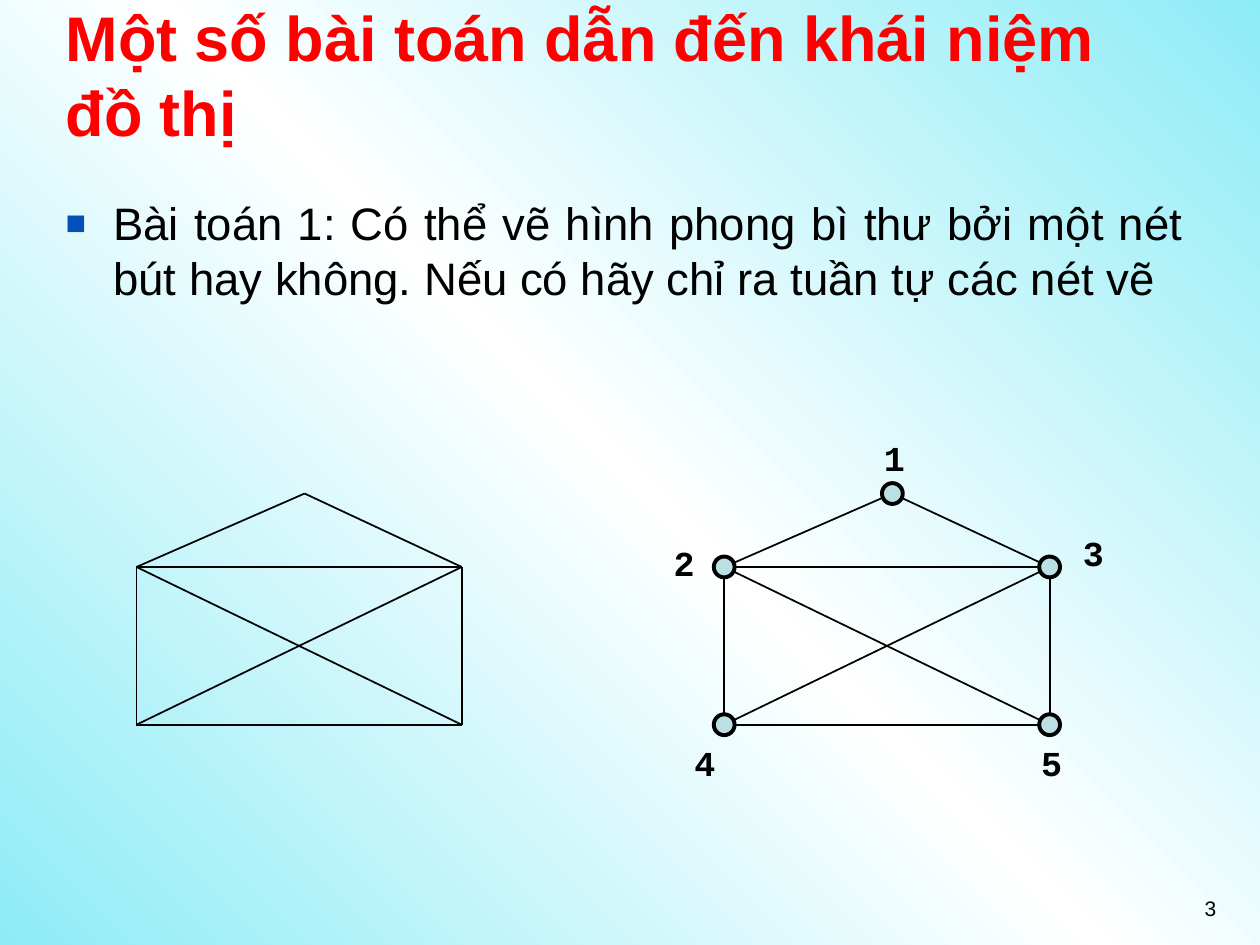
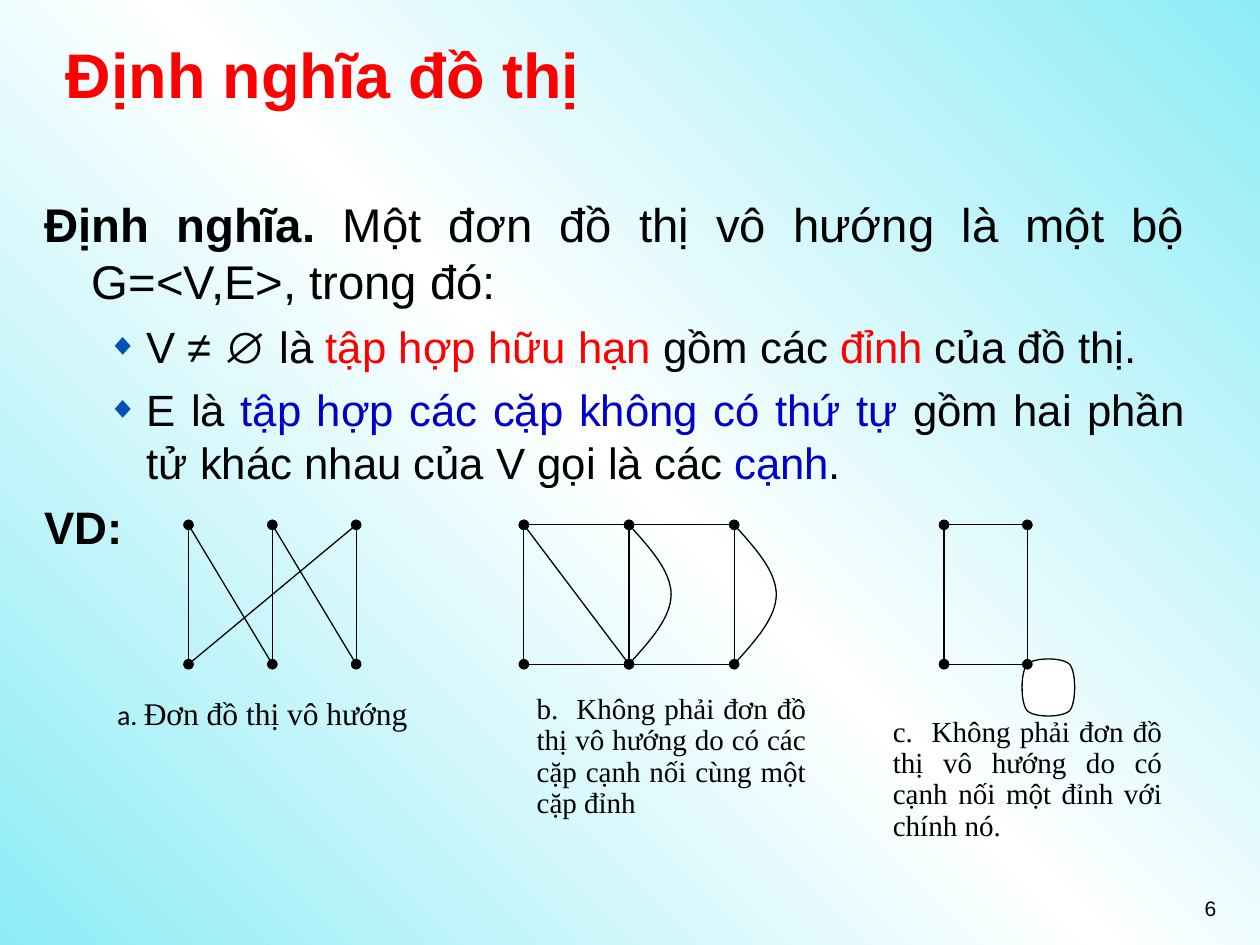
import copy

import pptx
import pptx.dml.color
import pptx.enum.shapes
import pptx.enum.text
import pptx.oxml
import pptx.oxml.ns
import pptx.util
from lxml import etree

Cm = pptx.util.Cm
Pt = pptx.util.Pt
RGBColor = pptx.dml.color.RGBColor
qn = pptx.oxml.ns.qn
Align = pptx.enum.text.PP_ALIGN

BLACK = RGBColor(0x00, 0x00, 0x00)
WHITE = RGBColor(0xFF, 0xFF, 0xFF)
RED = RGBColor(0xFF, 0x00, 0x00)
BLUE = RGBColor(0x00, 0x00, 0xCC)
BULLET_BLUE = RGBColor(0x02, 0x51, 0xB8)
SKY = RGBColor(0x8E, 0xEC, 0xF6)
NODE_FILL = RGBColor(0xBB, 0xE0, 0xE3)

BODY_TOP, BODY_HEIGHT, BODY_RIGHT = 3.81, 13.21, 24.13


def add_text(paragraph, text, size=18, font="Arial", color=BLACK, bold=False):
    run = paragraph.add_run()
    run.text = text
    run.font.size = Pt(size)
    run.font.name = font
    run.font.bold = bold
    run.font.color.rgb = color


def set_indent(paragraph, left, first_line):
    properties = paragraph._p.get_or_add_pPr()
    properties.set("marL", str(Cm(left)))
    properties.set("indent", str(Cm(first_line)))
    return properties


def set_bullet(properties, character, percent):
    if not character:
        etree.SubElement(properties, qn("a:buNone"))
        return
    color = etree.SubElement(properties, qn("a:buClr"))
    etree.SubElement(color, qn("a:srgbClr"), val=str(BULLET_BLUE))
    etree.SubElement(properties, qn("a:buSzPct"), val=str(percent * 1000))
    etree.SubElement(properties, qn("a:buFont"), typeface="Arial")
    etree.SubElement(properties, qn("a:buChar"), char=character)


def curve_points(start, segments, steps=16):
    """Return points along cubic segments, each (control, control, end)."""
    points = [start]
    for first, second, end in segments:
        for step in range(1, steps + 1):
            t = step / steps
            u = 1 - t
            points.append(tuple(
                u ** 3 * a + 3 * u * u * t * b + 3 * u * t * t * c + t ** 3 * d
                for a, b, c, d in zip(start, first, second, end)))
        start = end
    return points


class Deck:
    def __init__(self):
        self.presentation = pptx.Presentation()
        self.presentation.slide_width = Cm(25.4)
        self.presentation.slide_height = Cm(19.05)
        self.slide = None
        self.paint_background()

    def paint_background(self):
        master = self.presentation.slide_master
        fill = master.background.fill
        fill.gradient()
        fill.gradient_angle = 45
        stops = master.element.find(".//" + qn("a:gsLst"))
        stops.append(copy.deepcopy(stops[-1]))
        for stop, position, color in zip(fill.gradient_stops, (0, 0.5, 1), (SKY, WHITE, SKY)):
            stop.position = position
            stop.color.rgb = color

    def start_slide(self, title, number):
        layout = self.presentation.slide_layouts[1]
        self.slide = self.presentation.slides.add_slide(layout)
        frame = self.place(self.slide.shapes.title, 1.07, 0.43, 23.06, 2.11)
        frame.vertical_anchor = pptx.enum.text.MSO_ANCHOR.MIDDLE
        frame.paragraphs[0].alignment = Align.LEFT
        add_text(frame.paragraphs[0], title, size=36, color=RED, bold=True)
        paragraph = self.text_box(18.85, 17.93, 5.92, 1.32)
        paragraph.alignment = Align.RIGHT
        add_text(paragraph, str(number), size=12)

    def place(self, shape, left, top, width, height):
        shape.left, shape.top = Cm(left), Cm(top)
        shape.width, shape.height = Cm(width), Cm(height)
        frame = shape.text_frame
        frame.auto_size = pptx.enum.text.MSO_AUTO_SIZE.NONE
        frame.word_wrap = True
        return frame

    def text_box(self, left, top, width, height, wrap=True):
        box = self.slide.shapes.add_textbox(Cm(left), Cm(top), Cm(width), Cm(height))
        box.text_frame.word_wrap = wrap
        return box.text_frame.paragraphs[0]

    def body(self, left, items):
        """Fill the body from (size, level, bullet, runs); a run is (text, format)."""
        frame = self.place(self.slide.placeholders[1], left, BODY_TOP,
                           BODY_RIGHT - left, BODY_HEIGHT)
        for index, (size, level, bullet, runs) in enumerate(items):
            paragraph = frame.add_paragraph() if index else frame.paragraphs[0]
            paragraph.level = level
            paragraph.alignment = Align.JUSTIFY
            paragraph.space_before = Pt(size / 4 if index else 0)
            properties = set_indent(paragraph, *((2.06, -0.79) if level else (0.96, -0.96)))
            set_bullet(properties, bullet, 70 if level else 75)
            for text, style in runs:
                add_text(paragraph, text, size=size, **style)

    def line(self, start, end, width, dotted_ends=False):
        connector = self.slide.shapes.add_connector(
            pptx.enum.shapes.MSO_CONNECTOR.STRAIGHT,
            *(Cm(value) for value in (*start, *end)))
        connector.line.color.rgb = BLACK
        connector.line.width = Pt(width)
        if dotted_ends:
            outline = connector.line._get_or_add_ln()
            for end_name in ("a:headEnd", "a:tailEnd"):
                etree.SubElement(outline, qn(end_name), type="oval")
        etree.SubElement(connector._element.spPr, qn("a:effectLst"))

    def outline(self, shape, width, fill=None):
        shape.shadow.inherit = False
        shape.line.color.rgb = BLACK
        shape.line.width = Pt(width)
        if fill is None:
            shape.fill.background()
        else:
            shape.fill.solid()
            shape.fill.fore_color.rgb = fill

    def node(self, center, diameter=0.42):
        left, top = (value - diameter / 2 for value in center)
        circle = self.slide.shapes.add_shape(
            pptx.enum.shapes.MSO_SHAPE.OVAL, Cm(left), Cm(top), Cm(diameter), Cm(diameter))
        self.outline(circle, 2.25, NODE_FILL)

    def curve(self, start, segments, fill=None):
        points = [(Cm(x), Cm(y)) for x, y in curve_points(start, segments)]
        builder = self.slide.shapes.build_freeform(*points[0])
        builder.add_line_segments(points[1:], close=fill is not None)
        self.outline(builder.convert_to_shape(), 0.75, fill)

    def caption(self, text, left, top):
        paragraph = self.text_box(left, top, 7.19, 3.28)
        paragraph.alignment = Align.JUSTIFY
        paragraph.line_spacing = 0.9
        set_indent(paragraph, 1.27, 0)
        add_text(paragraph, text, size=16.6, font="Times New Roman")


# Envelope: vertices relative to its left edge and apex height
VERTICES = {1: (3.39, 0), 2: (0, 1.48), 3: (6.56, 1.48), 4: (0, 4.66), 5: (6.56, 4.66)}
EDGES = [(1, 2), (1, 3), (2, 3), (2, 4), (4, 5), (3, 5), (4, 3), (2, 5)]
LABEL_OFFSETS = {1: (-0.42, -1.27), 2: (-1.27, -0.64), 3: (0.42, -0.85),
                 4: (-0.85, 0.21), 5: (-0.42, 0.21)}
ENVELOPE_TOP = 9.95


def draw_envelope(deck, left):
    points = {name: (left + x, ENVELOPE_TOP + y) for name, (x, y) in VERTICES.items()}
    for start, end in EDGES:
        deck.line(points[start], points[end], 1)
    return points


def build_envelope_slide(deck):
    deck.start_slide("Một số bài toán dẫn đến khái niệm đồ thị", 3)
    deck.body(1.07, [(26, 0, "■", [
        ("Bài toán 1: Có thể vẽ hình phong bì thư bởi một nét bút hay không. "
         "Nếu có hãy chỉ ra tuần tự các nét vẽ", {})])])
    draw_envelope(deck, 2.75)
    points = draw_envelope(deck, 14.6)
    for center in points.values():
        deck.node(center)
    for name, (x, y) in points.items():
        shift_x, shift_y = LABEL_OFFSETS[name]
        label = deck.text_box(x + shift_x, y + shift_y, 0.91, 1.12, wrap=False)
        add_text(label, str(name), size=20, font="Courier New", bold=True)


# Example graphs: two rows of vertices, each edge joins (column, row) pairs
ROWS = (10.58, 13.39)
GRAPHS = [
    (3.8, 1.69, [((0, 0), (0, 1)), ((1, 0), (1, 1)), ((0, 0), (1, 1)),
                 ((1, 0), (2, 1)), ((2, 0), (2, 1)), ((2, 0), (0, 1))]),
    (10.56, 2.12, [((0, 0), (0, 1)), ((1, 0), (1, 1)), ((2, 0), (2, 1)),
                   ((0, 0), (1, 0)), ((1, 0), (2, 0)), ((1, 1), (2, 1)),
                   ((0, 0), (1, 1)), ((0, 1), (1, 1))]),
    (19.03, 1.68, [((0, 0), (0, 1)), ((1, 0), (1, 1)), ((0, 0), (1, 0)), ((0, 1), (1, 1))]),
]


def draw_parallel_edge(deck, x, bulge=0.85):
    top, bottom = ROWS
    middle, third = (top + bottom) / 2, (bottom - top) / 6
    deck.curve((x, top), [
        ((x + bulge / 2, top + third), (x + bulge, top + 2 * third), (x + bulge, middle)),
        ((x + bulge, bottom - 2 * third), (x + bulge / 2, bottom - third), (x, bottom))])


def draw_loop(deck, left, top, width=0.85, height=0.94, bulge=0.14):
    """Draw a box with sides bowed outwards, starting at its top left corner."""
    x, y = left, top
    segments = []
    for dx, dy, length in ((0, 1, height), (1, 0, width), (0, -1, height), (-1, 0, width)):
        end_x, end_y = x + dx * length, y + dy * length
        segments.append(((x + bulge * (dx - dy), y + bulge * (dy + dx)),
                         (end_x - bulge * (dx + dy), end_y + bulge * (dx - dy)),
                         (end_x, end_y)))
        x, y = end_x, end_y
    deck.curve((left, top), segments, WHITE)


def build_definition_slide(deck):
    red, blue, bold = {"color": RED}, {"color": BLUE}, {"bold": True}
    deck.start_slide("Định nghĩa đồ thị", 6)
    deck.body(0.64, [
        (27, 0, None, [("Định nghĩa. ", bold),
                       ("Một đơn đồ thị vô hướng là một bộ G=<V,E>, trong đó:", {})]),
        (25, 1, "◆", [("V ≠ ∅ là ", {}), ("tập hợp hữu hạn", red), (" gồm các ", {}),
                      ("đỉnh", red), (" của đồ thị.", {})]),
        (25, 1, "◆", [("E là ", {}), ("tập hợp các cặp không có thứ tự", blue),
                      (" gồm hai phần tử khác nhau của V gọi là các ", {}),
                      ("cạnh", blue), (".", {})]),
        (26, 0, None, [("VD:", bold)]),
    ])
    draw_loop(deck, 20.71, ROWS[1])
    for left, step, edges in GRAPHS:
        for edge in edges:
            start, end = ((left + column * step, ROWS[row]) for column, row in edge)
            deck.line(start, end, 0.75, dotted_ends=True)
    left, step, _ = GRAPHS[1]
    for column in (1, 2):
        draw_parallel_edge(deck, left + column * step)

    simple_caption = deck.text_box(2.11, 13.87, 6.76, 1.4)
    add_text(simple_caption, "a. ", size=16, font="Calibri")
    add_text(simple_caption, "Đơn đồ thị vô hướng", size=18, font="Times New Roman")
    deck.caption("b.\u00a0 Không phải đơn đồ thị vô hướng do có các cặp cạnh nối cùng "
                 "một cặp đỉnh".replace("\u00a0", " "), 9.3, 13.87)
    deck.caption("c.  Không phải đơn đồ thị vô hướng do có cạnh nối một đỉnh với chính nó.",
                 16.48, 14.33)


def main():
    deck = Deck()
    build_envelope_slide(deck)
    build_definition_slide(deck)
    deck.presentation.save("out.pptx")


if __name__ == "__main__":
    main()
